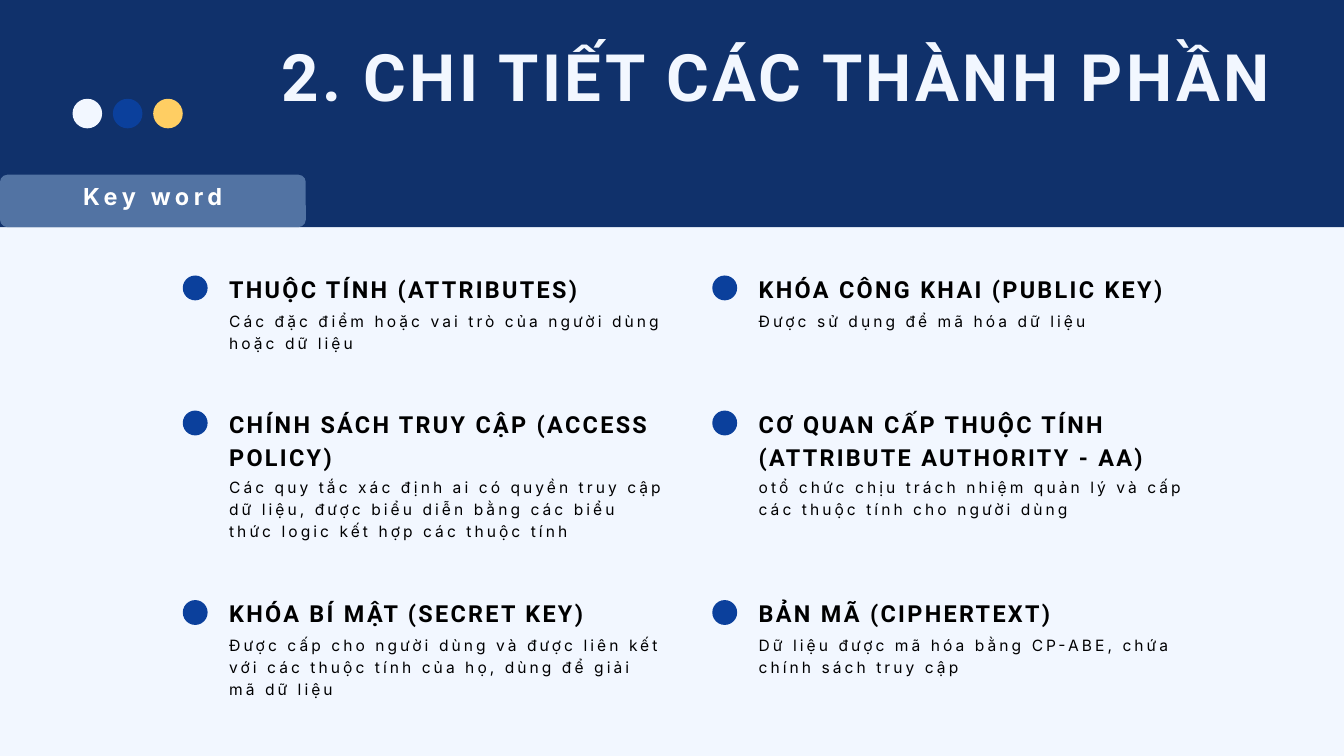
from dataclasses import dataclass

from pptx import Presentation
from pptx.dml.color import RGBColor
from pptx.enum.shapes import MSO_SHAPE
from pptx.enum.text import MSO_ANCHOR, MSO_AUTO_SIZE, PP_ALIGN
from pptx.util import Inches, Pt

OVAL, RECT, ROUND = MSO_SHAPE.OVAL, MSO_SHAPE.RECTANGLE, MSO_SHAPE.ROUNDED_RECTANGLE
TOP, MIDDLE = MSO_ANCHOR.TOP, MSO_ANCHOR.MIDDLE
LEFT, CENTER, RIGHT = PP_ALIGN.LEFT, PP_ALIGN.CENTER, PP_ALIGN.RIGHT
NO_FIT = MSO_AUTO_SIZE.NONE


@dataclass(frozen=True)
class Theme:
    """Colours, and text styles as (font, size, bold, tracking, line pitch, colour)."""
    page: str = "F2F7FF"
    navy: str = "10316B"
    blue: str = "0B409C"
    gold: str = "FFCE63"
    tab: str = "5273A3"
    title: tuple = ("Roboto", 70, True, 3.5, 77, "F2F7FF")
    label: tuple = ("Inter", 25.1, True, 5, 35.1, "FFFFFF")
    head: tuple = ("Roboto", 25.1, True, 2.5, 35.1, "000000")
    body: tuple = ("Inter", 16.7, False, 3.3, 23.4, "000000")


THEME = Theme()

# Each row: top, lines in its headings, then (heading, text) for both columns.
ROWS = [
    (4.02, 1, [
        ("THUỘC TÍNH (ATTRIBUTES)",
         "Các đặc điểm hoặc vai trò của người dùng hoặc dữ liệu"),
        ("KHÓA CÔNG KHAI (PUBLIC KEY)",
         "Được sử dụng để mã hóa dữ liệu")]),
    (6.03, 2, [
        ("CHÍNH SÁCH TRUY CẬP (ACCESS POLICY)",
         "Các quy tắc xác định ai có quyền truy cập dữ liệu, được biểu diễn "
         "bằng các biểu thức logic kết hợp các thuộc tính"),
        ("CƠ QUAN CẤP THUỘC TÍNH (ATTRIBUTE AUTHORITY - AA)",
         "otổ chức chịu trách nhiệm quản lý và cấp các thuộc tính cho người dùng")]),
    (8.85, 1, [
        ("KHÓA BÍ MẬT (SECRET KEY)",
         "Được cấp cho người dùng và được liên kết với các thuộc tính của họ, "
         "dùng để giải mã dữ liệu"),
        ("BẢN MÃ (CIPHERTEXT)",
         "Dữ liệu được mã hóa bằng CP-ABE, chứa chính sách truy cập")]),
]


def place(box):
    return [Inches(v) for v in box]


def add_form(slide, kind, box, fill):
    form = slide.shapes.add_shape(kind, *place(box))
    form.shadow.inherit = False
    form.fill.solid()
    form.fill.fore_color.rgb = RGBColor.from_string(fill)
    form.line.fill.background()
    return form


def write(shape, text, style, align=LEFT, anchor=TOP, bottom=0):
    name, size, bold, track, pitch, color = style
    frame = shape.text_frame
    values = {"word_wrap": True, "auto_size": NO_FIT, "vertical_anchor": anchor,
              "margin_left": 0, "margin_right": 0, "margin_top": 0,
              "margin_bottom": Inches(bottom)}
    for key, value in values.items():
        setattr(frame, key, value)
    para = frame.paragraphs[0]
    para.alignment = align
    para.line_spacing = Pt(pitch)
    para.space_before = Pt(0)
    run = para.add_run()
    run.text = text
    for key, value in {"name": name, "size": Pt(size), "bold": bold}.items():
        setattr(run.font, key, value)
    run.font.color.rgb = RGBColor.from_string(color)
    run.font._element.set("spc", str(round(track * 100)))


def add_text(slide, box, text, style):
    write(slide.shapes.add_textbox(*place(box)), text, style)


def add_header(slide, box):
    left, top, width, height = box
    add_form(slide, RECT, box, THEME.navy)
    for i, fill in enumerate([THEME.page, THEME.blue, THEME.gold]):
        add_form(slide, OVAL, (left + 1.08 + 0.6 * i, top + 1.47, 0.44, 0.44), fill)

    title = slide.shapes.title
    spot = place((left + 3.08, top + 0.64, width - 4.16, 1.1))
    for key, value in zip(("left", "top", "width", "height"), spot):
        setattr(title, key, value)
    write(title, "2. CHI TIẾT CÁC THÀNH PHẦN", THEME.title, RIGHT)
    slide.shapes._spTree.append(title._element)  # in front of the band

    tab = add_form(slide, ROUND, (left, top + height - 0.78, 4.55, 0.78), THEME.tab)
    tab.adjustments[0] = 0.14
    write(tab, "Key word", THEME.label, CENTER, MIDDLE, bottom=0.2)


def add_term(slide, box, lines, head, body):
    """Place a dot, a heading of the given line count and the text under it."""
    left, top, width, height = box
    inset = 0.69
    drop = 0.1 + 0.47 * lines
    add_form(slide, OVAL, (left, top + 0.08, 0.37, 0.37), THEME.blue)
    add_text(slide, (left + inset, top, width - inset, drop - 0.1), head, THEME.head)
    add_text(slide, (left + inset, top + drop, width - inset, height - drop),
             body, THEME.body)


def add_terms(slide, box):
    left, top, width, height = box
    gap = 0.65
    wide = (width - gap) / 2
    for offset, lines, terms in ROWS:
        for col, (head, body) in enumerate(terms):
            spot = (left + col * (wide + gap), offset, wide, 0.57 + 0.47 * lines + 0.47)
            add_term(slide, spot, lines, head, body)


def main():
    deck = Presentation()
    deck.slide_width, deck.slide_height = Inches(20), Inches(11.25)
    slide = deck.slides.add_slide(deck.slide_layouts[5])
    slide.background.fill.solid()
    slide.background.fill.fore_color.rgb = RGBColor.from_string(THEME.page)
    add_header(slide, (0, 0, 20, 3.38))
    add_terms(slide, (2.72, 4.02, 15.11, 6.34))
    deck.save("out.pptx")


if __name__ == "__main__":
    main()
